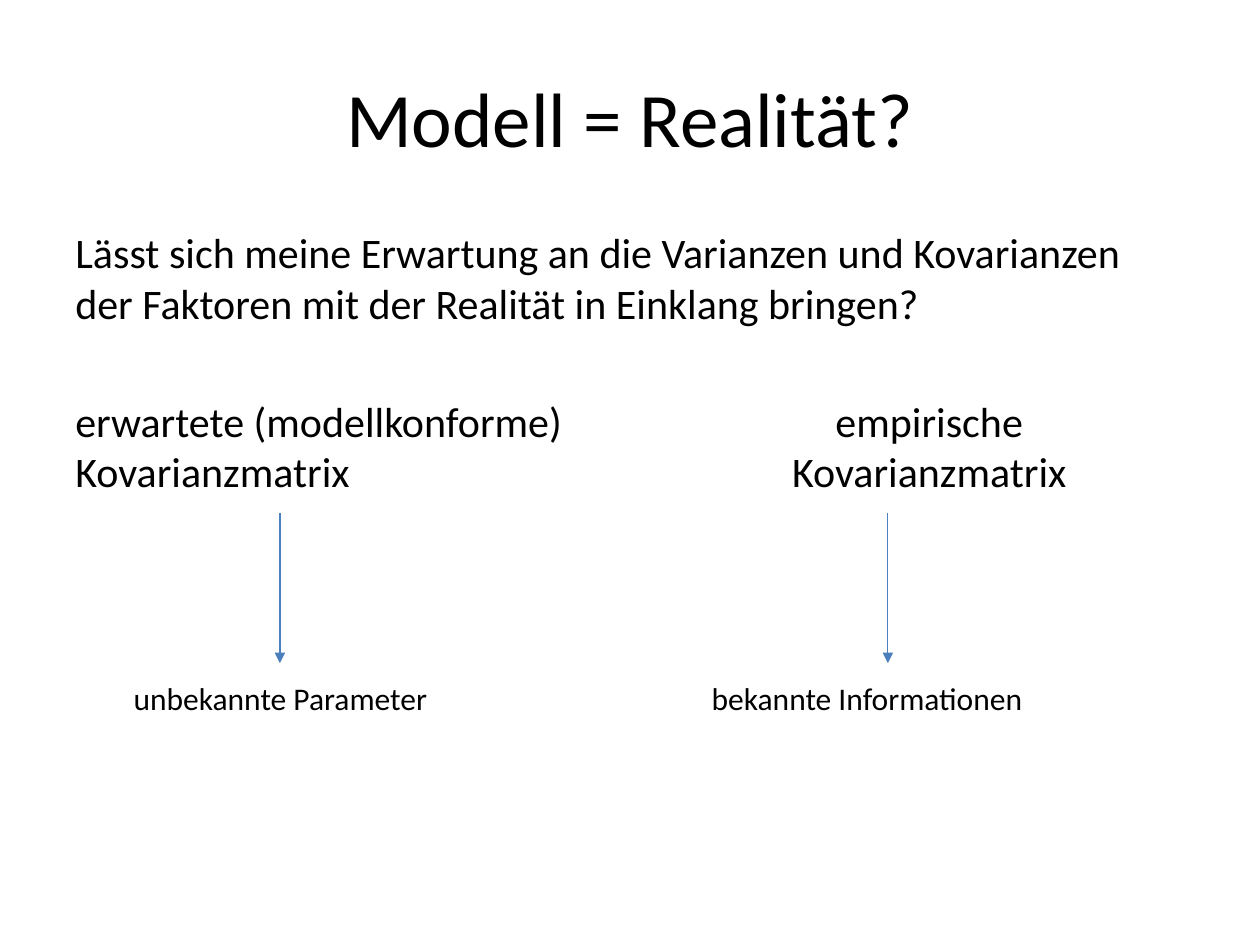
from lxml import etree
from pptx import Presentation
from pptx import util as u
from pptx.dml import color
from pptx.enum import shapes, text
from pptx.oxml import ns

WIDTH, HEIGHT = 10, 7.5
LEFT, CENTER = text.PP_ALIGN.LEFT, text.PP_ALIGN.CENTER


def rgb(value):
    return color.RGBColor.from_string(value)


def add_text(slide, box, lines, size, align=LEFT, anchor=text.MSO_ANCHOR.TOP):
    shape = slide.shapes.add_textbox(*(u.Inches(length) for length in box))
    frame = shape.text_frame
    frame.word_wrap = True
    frame.vertical_anchor = anchor
    frame.text = "\n".join(lines)
    for paragraph in frame.paragraphs:
        paragraph.alignment = align
        paragraph.font.name = "Calibri"
        paragraph.font.size = u.Pt(size)
        paragraph.font.color.rgb = rgb("000000")


def add_arrow(slide, x, top, bottom):
    arrow = slide.shapes.add_connector(
        shapes.MSO_CONNECTOR.STRAIGHT,
        *(u.Inches(length) for length in (x, top, x, bottom)))
    arrow.line.color.rgb = rgb("4B7EBC")
    arrow.line.width = u.Pt(0.75)
    etree.SubElement(arrow.line._get_or_add_ln(), ns.qn("a:tailEnd"), type="triangle")
    etree.SubElement(arrow._element.spPr, ns.qn("a:effectLst"))


def add_header(slide, box):
    left, top, width, height = box
    add_text(slide, (left, top, width, height * 0.5), ["Modell = Realität?"], 44,
             CENTER, text.MSO_ANCHOR.MIDDLE)
    question = ("Lässt sich meine Erwartung an die Varianzen und Kovarianzen "
                "der Faktoren mit der Realität in Einklang bringen?")
    add_text(slide, (left, top + height * 0.58, width, height * 0.42), [question], 24)


def add_matrix_column(slide, box, heading, align, arrow_share, caption, indent_share):
    left, top, width, height = box
    add_text(slide, (left, top, width, height * 0.34), heading, 24, align)
    add_arrow(slide, left + width * arrow_share, top + height * 0.37, top + height * 0.82)
    indent = width * indent_share
    add_text(slide, (left + indent, top + height * 0.85, width - indent, height * 0.15),
             [caption], 18)


presentation = Presentation()
presentation.slide_width = u.Inches(WIDTH)
presentation.slide_height = u.Inches(HEIGHT)
slide = presentation.slides.add_slide(presentation.slide_layouts[6])

add_header(slide, (WIDTH * 0.05, HEIGHT * 0.04, WIDTH * 0.9, HEIGHT / 3))
column_top, column_height = 3.09, 2.65
add_matrix_column(slide, (WIDTH * 0.05, column_top, 4.2, column_height),
                  ["erwartete (modellkonforme)", "Kovarianzmatrix"], LEFT, 0.41,
                  "unbekannte Parameter", 0.11)
add_matrix_column(slide, (5.55, column_top, 3.65, column_height),
                  ["empirische", "Kovarianzmatrix"], CENTER, 0.41,
                  "bekannte Informationen", 0)
presentation.save("out.pptx")
